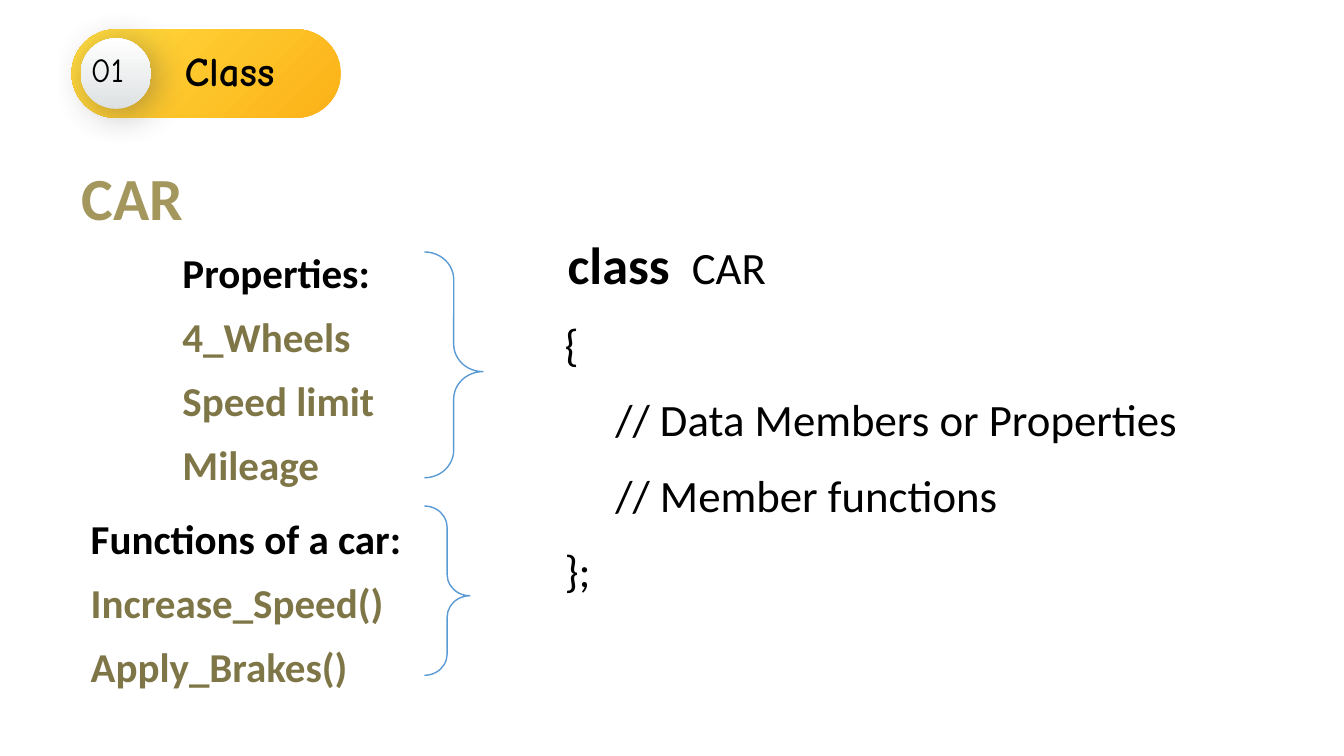
from dataclasses import dataclass

from lxml.etree import SubElement
from pptx import Presentation
from pptx.dml.color import RGBColor
from pptx.enum.shapes import MSO_SHAPE
from pptx.enum.text import MSO_ANCHOR, MSO_AUTO_SIZE, PP_ALIGN
from pptx.oxml.ns import qn
from pptx.util import Pt

EMU_PER_PX = 9144  # 100 px to the inch


@dataclass(frozen=True)
class Theme:
    body_font: str = "Calibri"
    label_font: str = "Comic Neue"
    ink: str = "000000"
    heading: str = "A3975D"
    member: str = "7F7648"
    brace: str = "5B9BD5"
    pill: tuple = ("FCB117", "FFDB3F")
    badge: tuple = ("DDE1E2", "FFFFFF")
    shadow: str = "404040"
    heading_size: float = 42.7
    keyword_size: float = 37.3
    code_size: float = 32
    text_size: float = 29.3
    number_size: float = 24


THEME = Theme()


def px(length):
    return length * EMU_PER_PX


def place(shape, box):
    shape.left, shape.top, shape.width, shape.height = map(px, box)


def prepare_frame(shape, inset=10):
    frame = shape.text_frame
    frame.word_wrap = True
    frame.auto_size = MSO_AUTO_SIZE.NONE
    frame.vertical_anchor = MSO_ANCHOR.TOP
    frame.margin_left, frame.margin_right = px(inset), px(10)
    frame.margin_top = frame.margin_bottom = px(5)
    return frame


def write(paragraph, text, *, size, color=THEME.ink, font=THEME.body_font,
          bold=False, spacing=1.0, indent=0):
    """Add a formatted run and set the layout of its unbulleted paragraph."""
    properties = paragraph._p.get_or_add_pPr()
    properties.set("marL", str(px(indent)))
    properties.set("indent", "0")
    if properties.find(qn("a:buNone")) is None:
        SubElement(properties, qn("a:buNone"))
    paragraph.alignment = PP_ALIGN.LEFT
    paragraph.space_before = paragraph.space_after = Pt(0)
    paragraph.line_spacing = spacing
    run = paragraph.add_run()
    run.text = text
    run.font.size = Pt(size)
    run.font.name = font
    run.font.bold = bold
    run.font.color.rgb = RGBColor.from_string(color)


def write_lines(frame, lines):
    """Write one paragraph for each list of (text, format) runs."""
    for number, runs in enumerate(lines):
        paragraph = frame.add_paragraph() if number else frame.paragraphs[0]
        for text, style in runs:
            write(paragraph, text, **style)


def add_brace(slide, box):
    brace = slide.shapes.add_shape(MSO_SHAPE.RIGHT_BRACE, *map(px, box))
    brace.adjustments[0], brace.adjustments[1] = 0.47, 0.53
    brace.shadow.inherit = False
    brace.fill.background()
    brace.line.color.rgb = RGBColor.from_string(THEME.brace)
    brace.line.width = Pt(1)


def add_gradient_shape(slide, preset, box, colors, angle):
    shape = slide.shapes.add_shape(preset, *map(px, box))
    shape.shadow.inherit = False
    shape.line.fill.background()
    shape.fill.gradient()
    shape.fill.gradient_angle = angle
    for stop, color in zip(shape.fill.gradient_stops, colors):
        stop.color.rgb = RGBColor.from_string(color)
    return shape


def cast_shadow(shape, blur, distance, degrees, opacity):
    effects = shape._element.spPr.find(qn("a:effectLst"))
    shadow = SubElement(effects, qn("a:outerShdw"), blurRad=str(Pt(blur)),
                        dist=str(Pt(distance)), dir=str(degrees * 60000),
                        algn="tl", rotWithShape="0")
    color = SubElement(shadow, qn("a:srgbClr"), val=THEME.shadow)
    SubElement(color, qn("a:alpha"), val=str(opacity * 1000))


def fill_car_members(body):
    place(body, (71, 133, 422, 557))
    heading = dict(size=THEME.heading_size, color=THEME.heading, bold=True, spacing=1.3)
    label = dict(size=THEME.text_size, bold=True, spacing=1.3)
    member = dict(label, color=THEME.member)
    properties = ["4_Wheels", "Speed limit", "Mileage"]
    functions = ["Increase_Speed()", "Apply_Brakes()"]
    write_lines(prepare_frame(body), [
        [("CAR", heading)],
        [("Properties:", dict(label, indent=100))],
        *[[(name, dict(member, indent=100))] for name in properties],
        [("Functions of a car:", dict(label, indent=9, spacing=1.5))],
        *[[(name, dict(member, indent=9))] for name in functions],
    ])


def fill_class_code(body):
    place(body, (520, 201, 746, 393))
    code = dict(size=THEME.code_size, spacing=1.4)
    keyword = dict(code, size=THEME.keyword_size, bold=True)
    rest = ["{", "     // Data Members or Properties", "     // Member functions", "};"]
    write_lines(prepare_frame(body, inset=40), [
        [("class ", dict(keyword, indent=3)), (" CAR", dict(code, indent=3))],
        *[[(line, code)] for line in rest],
    ])


def add_section_label(slide):
    add_gradient_shape(slide, MSO_SHAPE.ROUNDED_RECTANGLE, (71, 29, 267, 88),
                       THEME.pill, 135).adjustments[0] = 0.5
    title = slide.shapes.title
    slide.shapes._spTree.append(title._element)  # bring in front of the pill
    place(title, (173, 40, 187, 59))
    write_lines(prepare_frame(title), [
        [("Class", dict(size=THEME.text_size, font=THEME.label_font, bold=True))]])
    badge = add_gradient_shape(slide, MSO_SHAPE.OVAL, (80, 38, 70, 70), THEME.badge, 90)
    cast_shadow(badge, blur=26, distance=5, degrees=45, opacity=40)
    number = slide.shapes.add_textbox(*map(px, (80, 44, 73, 50)))
    write_lines(prepare_frame(number), [
        [("01", dict(size=THEME.number_size, font=THEME.label_font))]])


def main():
    presentation = Presentation()
    presentation.slide_width, presentation.slide_height = px(1333), px(750)
    slide = presentation.slides.add_slide(presentation.slide_layouts.get_by_name("Two Content"))
    fill_car_members(slide.placeholders[1])
    fill_class_code(slide.placeholders[2])
    for box in [(421, 250, 58, 224), (421, 502, 45, 168)]:
        add_brace(slide, box)
    add_section_label(slide)
    presentation.save("out.pptx")


if __name__ == "__main__":
    main()
